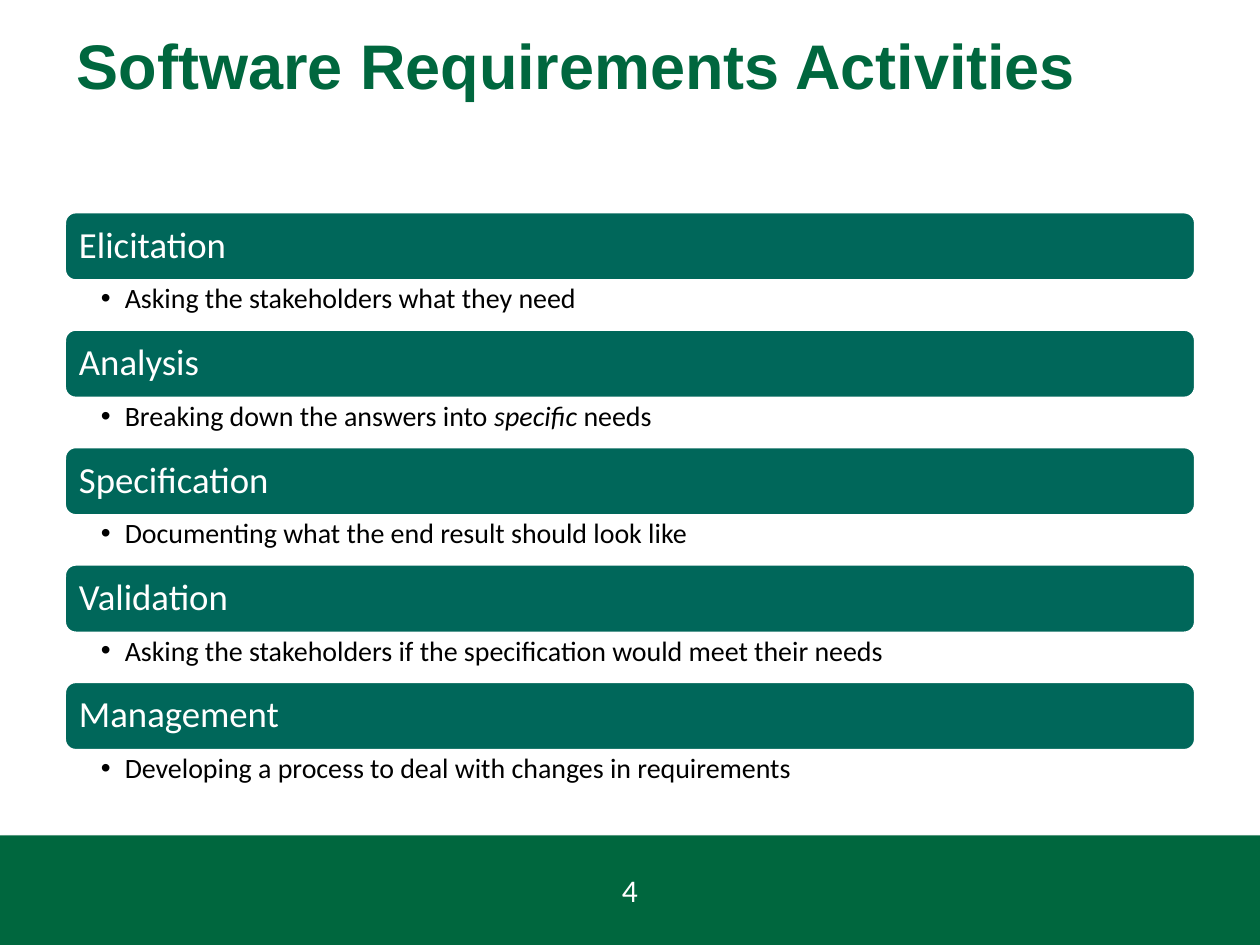
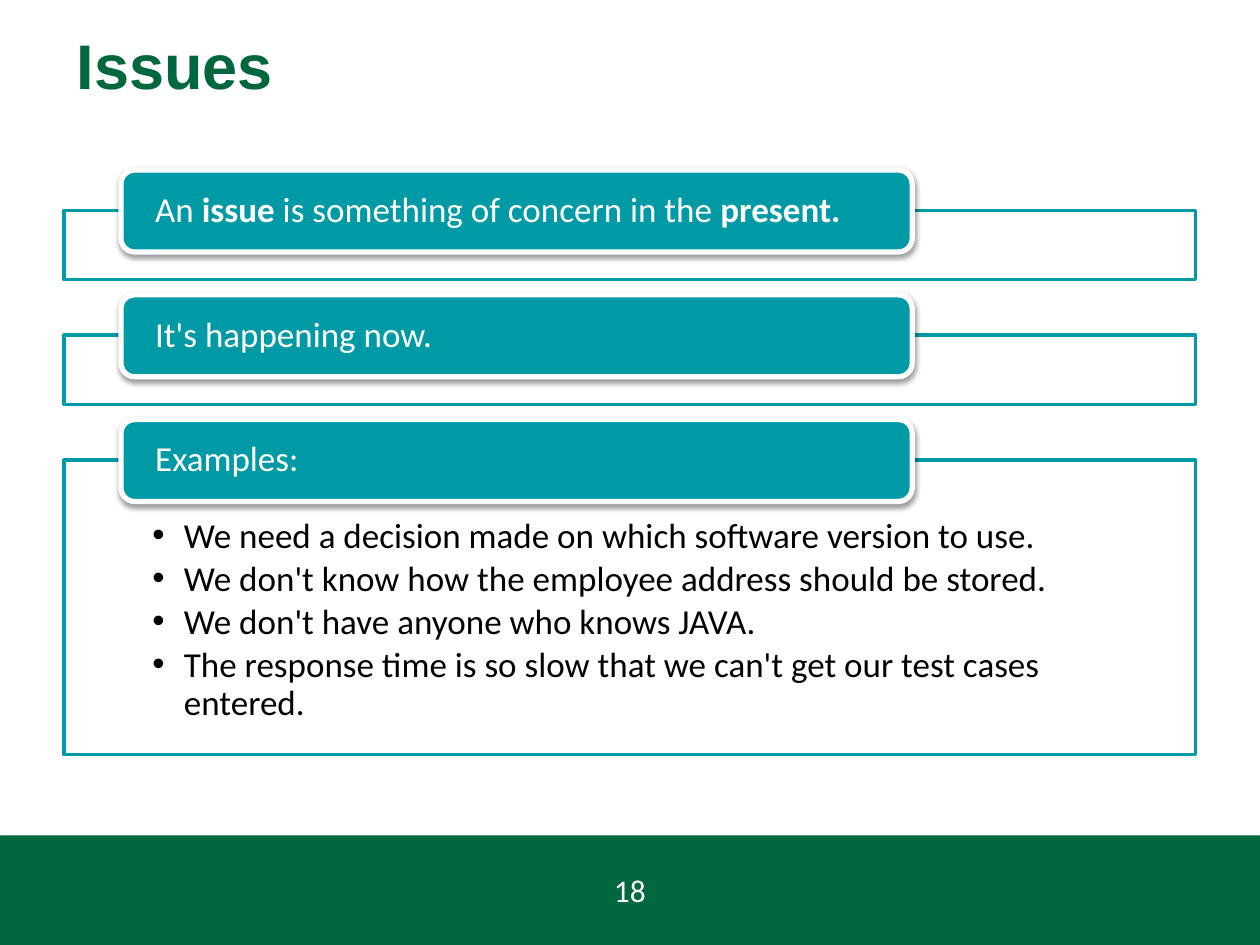
from dataclasses import dataclass

from lxml.etree import SubElement
from pptx import Presentation
from pptx.dml.color import RGBColor
from pptx.enum.shapes import MSO_SHAPE as Preset
from pptx.enum.text import MSO_ANCHOR as Anchor, MSO_AUTO_SIZE as AutoSize, PP_ALIGN as Align
from pptx.oxml.ns import qn
from pptx.util import Inches, Pt

PAGE_WIDTH, PAGE_HEIGHT = Inches(10), Inches(7.5)
COLUMN, ROW = PAGE_WIDTH // 100, PAGE_HEIGHT // 75

GREEN = RGBColor(0x00, 0x67, 0x3E)
PINE = RGBColor(0x00, 0x67, 0x5A)
TEAL = RGBColor(0x00, 0x9A, 0xA6)
WHITE = RGBColor(0xFF, 0xFF, 0xFF)
BLACK = RGBColor(0x00, 0x00, 0x00)

TITLE_FONT, TEXT_FONT = "Arial", "Calibri"
PLAIN, BOLD, ITALIC = "plain", "bold", "italic"

ACTIVITIES = [
    ("Elicitation", [("Asking the stakeholders what they need", PLAIN)]),
    ("Analysis", [("Breaking down the answers into ", PLAIN), ("specific", ITALIC),
                  (" needs", PLAIN)]),
    ("Specification", [("Documenting what the end result should look like", PLAIN)]),
    ("Validation", [("Asking the stakeholders if the specification would meet their needs",
                     PLAIN)]),
    ("Management", [("Developing a process to deal with changes in requirements", PLAIN)]),
]

ISSUE_HEADINGS = [
    [("An ", PLAIN), ("issue", BOLD), (" is something of concern in the ", PLAIN),
     ("present.", BOLD)],
    [("It's happening now.", PLAIN)],
    [("Examples:", PLAIN)],
]
ISSUE_EXAMPLES = [
    "We need a decision made on which software version to use.",
    "We don't know how the employee address should be stored.",
    "We don't have anyone who knows JAVA.",
    "The response time is so slow that we can't get our test cases entered.",
]


@dataclass
class Box:
    """A rectangle in grid columns and rows."""
    left: float
    top: float
    width: float
    height: float

    def inner(self, left, top, width, height):
        """A rectangle whose left and top count from this one's corner."""
        return Box(self.left + left, self.top + top, width, height)

    def lengths(self):
        return (int(self.left * COLUMN), int(self.top * ROW),
                int(self.width * COLUMN), int(self.height * ROW))


TITLE_BOX = Box(5.1, 1.6, 89.8, 13.1)
FOOTER_BOX = Box(0, 66.3, 100, 8.7)
ACTIVITIES_BOX = Box(5.1, 16.8, 89.8, 46.6)
ISSUES_BOX = Box(5.1, 13.5, 89.8, 46.4)


def place(shape, box):
    shape.left, shape.top, shape.width, shape.height = box.lengths()


def set_frame(shape, anchor, insets):
    """Wrap the text; insets are left, top, right, bottom in inches."""
    frame = shape.text_frame
    frame.word_wrap = True
    frame.auto_size = AutoSize.NONE
    frame.vertical_anchor = anchor
    (frame.margin_left, frame.margin_top,
     frame.margin_right, frame.margin_bottom) = map(Inches, insets)
    return frame


def add_spans(para, spans, size, color, font=TEXT_FONT):
    for text, style in spans:
        span = para.add_run()
        span.text = text
        span.font.name, span.font.size = font, Pt(size)
        span.font.color.rgb = color
        span.font.bold, span.font.italic = style == BOLD, style == ITALIC


def set_spacing(para, after=0):
    para.line_spacing = 0.9
    para.space_before, para.space_after = Pt(0), Pt(after)


def add_bullet(para, indent):
    properties = para._p.get_or_add_pPr()
    properties.set("marL", str(Inches(indent)))
    properties.set("indent", str(-Inches(indent)))
    SubElement(properties, qn("a:buFont"), typeface="Arial")
    SubElement(properties, qn("a:buChar"), char="•")


def paint(shape, fill, line=None, line_width=0):
    shape.fill.solid()
    shape.fill.fore_color.rgb = fill
    if line is None:
        shape.line.fill.background()
    else:
        shape.line.color.rgb = line
        shape.line.width = Pt(line_width)


def add_panel(page, preset, box, *paint_values):
    shape = page.shapes.add_shape(preset, *box.lengths())
    shape.shadow.inherit = False
    paint(shape, *paint_values)
    return shape


def add_shadow(shape, distance, opacity):
    effects = shape._element.spPr.find(qn("a:effectLst"))
    shadow = SubElement(effects, qn("a:outerShdw"), blurRad=str(Pt(3.1)),
                        dist=str(Pt(distance)), dir="5400000", rotWithShape="0")
    color = SubElement(shadow, qn("a:srgbClr"), val=str(BLACK))
    SubElement(color, qn("a:alpha"), val=str(opacity * 1000))


def add_heading(shape, spans, size, insets):
    para = set_frame(shape, Anchor.MIDDLE, insets).paragraphs[0]
    para.alignment = Align.LEFT
    set_spacing(para)
    add_spans(para, spans, size, WHITE)


def add_page(deck, layout_name, title, number):
    """Start a slide with the shared title and numbered footer band."""
    page = deck.slides.add_slide(deck.slide_layouts.get_by_name(layout_name))
    heading = page.shapes.title
    place(heading, TITLE_BOX)
    para = set_frame(heading, Anchor.TOP, (0.1, 0.05, 0.1, 0.05)).paragraphs[0]
    para.alignment = Align.LEFT
    add_spans(para, [(title, BOLD)], 36, GREEN, TITLE_FONT)

    band = add_panel(page, Preset.RECTANGLE, FOOTER_BOX, GREEN)
    add_shadow(band, 1.8, 35)
    para = set_frame(band, Anchor.MIDDLE, (0.1, 0.05, 0.1, 0.05)).paragraphs[0]
    para.alignment = Align.CENTER
    add_spans(para, [(str(number), PLAIN)], 18, WHITE)
    return page


def add_activities(page, box):
    """Stack a bar and its bulleted line for each activity."""
    pitch = box.height / len(ACTIVITIES)
    bar_height = 5.5
    for index, (name, details) in enumerate(ACTIVITIES):
        row = box.inner(0, index * pitch, box.width, pitch)
        bar = add_panel(page, Preset.ROUNDED_RECTANGLE,
                        row.inner(0, 0, row.width, bar_height), PINE, WHITE, 2)
        add_heading(bar, [(name, PLAIN)], 21, (0.09, 0.09, 0.09, 0.09))

        detail_box = row.inner(0, bar_height, row.width, pitch - bar_height)
        detail = page.shapes.add_textbox(*detail_box.lengths())
        para = set_frame(detail, Anchor.TOP, (0.29, 0.03, 0.16, 0.03)).paragraphs[0]
        set_spacing(para)
        add_bullet(para, 0.19)
        add_spans(para, details, 16, BLACK)


def fill_examples(body, box):
    place(body, box)
    paint(body, WHITE, TEAL, 2)
    frame = set_frame(body, Anchor.TOP, (0.7, 0.46, 0.7, 0.16))
    for index, example in enumerate(ISSUE_EXAMPLES):
        para = frame.add_paragraph() if index else frame.paragraphs[0]
        set_spacing(para, after=3)
        add_bullet(para, 0.25)
        add_spans(para, [(example, PLAIN)], 20, BLACK)


def add_issues(page, box):
    """Place tabbed frames; the last one holds the list of examples."""
    pitch, tab_rise, frame_height = 9.9, 3.2, 5.5
    last = len(ISSUE_HEADINGS) - 1
    for index, spans in enumerate(ISSUE_HEADINGS):
        row = box.inner(0, index * pitch, box.width, box.height - index * pitch)
        if index == last:
            fill_examples(page.placeholders[1],
                          row.inner(0, tab_rise, row.width, row.height - tab_rise))
        else:
            add_panel(page, Preset.RECTANGLE,
                      row.inner(0, tab_rise, row.width, frame_height), WHITE, TEAL, 2)
        tab = add_panel(page, Preset.ROUNDED_RECTANGLE,
                        row.inner(4.5, 0, 62.8, 6.5), TEAL, WHITE, 3)
        add_shadow(tab, 1.6, 38)
        add_heading(tab, spans, 20, (0.24, 0, 0.24, 0))


def main():
    deck = Presentation()
    deck.slide_width, deck.slide_height = PAGE_WIDTH, PAGE_HEIGHT
    add_activities(add_page(deck, "Title Only", "Software Requirements Activities", 4),
                   ACTIVITIES_BOX)
    add_issues(add_page(deck, "Title and Content", "Issues", 18), ISSUES_BOX)
    deck.save("out.pptx")


if __name__ == "__main__":
    main()
